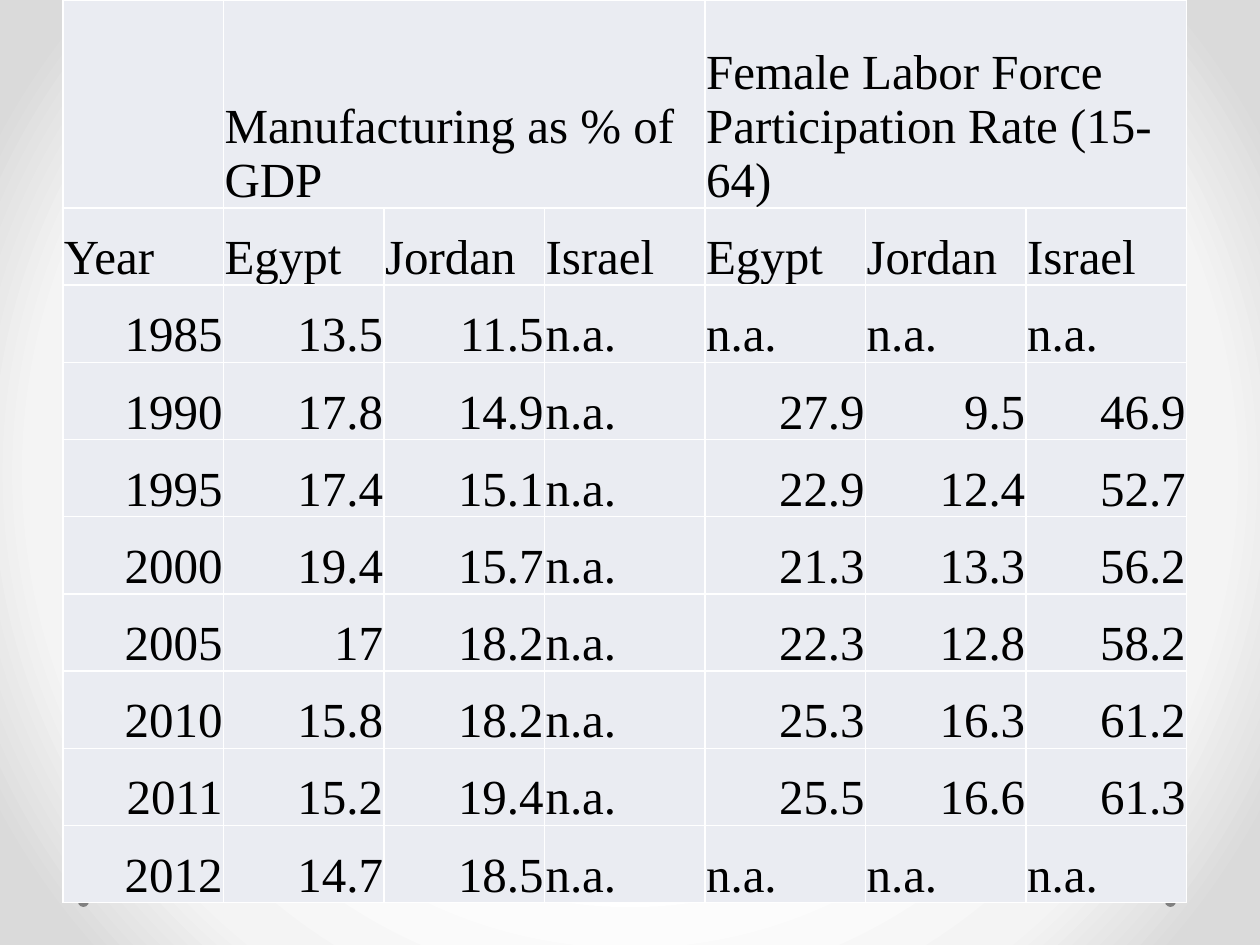
from lxml import etree
from pptx import Presentation
from pptx.dml.color import RGBColor
from pptx.enum.shapes import MSO_SHAPE
from pptx.enum.text import MSO_ANCHOR, PP_ALIGN
from pptx.oxml import parse_xml
from pptx.oxml.ns import qn
from pptx.util import Pt

PX = 914400 / 126
OVAL = MSO_SHAPE.OVAL
BOTTOM = MSO_ANCHOR.BOTTOM
LEFT, RIGHT = PP_ALIGN.LEFT, PP_ALIGN.RIGHT

BLACK = RGBColor(0x00, 0x00, 0x00)
WHITE = RGBColor(0xFF, 0xFF, 0xFF)
GRAY = RGBColor(0x80, 0x80, 0x80)
CELL_FILL = RGBColor(0xEA, 0xEC, 0xF2)
GRADIENT = (
    (50, WHITE),
    (76, RGBColor(0xF4, 0xF4, 0xF4)),
    (92, RGBColor(0xDA, 0xDA, 0xDA)),
)
FONT = "Times New Roman"
NS = "http://schemas.openxmlformats.org/drawingml/2006/main"

TABLE_LEFT, TABLE_TOP, TABLE_WIDTH, TABLE_HEIGHT = 63, 0, 1124, 903
HEADER_HEIGHT = 208
GROUPS = ("Manufacturing as % of GDP", "Female Labor Force Participation Rate (15-64)")
COUNTRIES = ("Egypt", "Jordan", "Israel")
NA = "n.a."
DATA = (
    ("1985", "13.5", "11.5", NA, NA, NA, NA),
    ("1990", "17.8", "14.9", NA, "27.9", "9.5", "46.9"),
    ("1995", "17.4", "15.1", NA, "22.9", "12.4", "52.7"),
    ("2000", "19.4", "15.7", NA, "21.3", "13.3", "56.2"),
    ("2005", "17", "18.2", NA, "22.3", "12.8", "58.2"),
    ("2010", "15.8", "18.2", NA, "25.3", "16.3", "61.2"),
    ("2011", "15.2", "19.4", NA, "25.5", "16.6", "61.3"),
    ("2012", "14.7", "18.5", NA, NA, NA, NA),
)


def px(n):
    """Convert pixels to EMU."""
    return round(n * PX)


def set_background(slide):
    """Give the slide a radial gradient background."""
    stops = "".join(
        f'<a:gs pos="{pos * 1000}"><a:srgbClr val="{color}"/></a:gs>'
        for pos, color in GRADIENT
    )
    grad = parse_xml(
        f'<a:gradFill xmlns:a="{NS}" rotWithShape="1"><a:gsLst>{stops}</a:gsLst>'
        '<a:path path="circle"><a:fillToRect l="50000" t="50000" r="50000" b="50000"/>'
        "</a:path></a:gradFill>"
    )
    fill = slide.background.fill
    fill.solid()
    solid = slide.element.find(f".//{qn('p:bgPr')}/{qn('a:solidFill')}")
    solid.getparent().replace(solid, grad)


def add_dot(slide, x, y, size):
    """Draw a small gray dot."""
    sp = slide.shapes.add_shape(OVAL, px(x), px(y), px(size), px(size))
    sp.shadow.inherit = False
    sp.fill.solid()
    sp.fill.fore_color.rgb = GRAY
    sp.line.fill.background()


def style_cell(cell):
    """Set the borders, fill, margins and anchor of a cell."""
    tc_pr = cell._tc.get_or_add_tcPr()
    for side in ("lnL", "lnR", "lnT", "lnB"):
        ln = etree.SubElement(tc_pr, qn(f"a:{side}"), w=str(Pt(1)))
        solid = etree.SubElement(ln, qn("a:solidFill"))
        etree.SubElement(solid, qn("a:srgbClr"), val=str(WHITE))
    cell.fill.solid()
    cell.fill.fore_color.rgb = CELL_FILL
    cell.margin_left = cell.margin_right = cell.margin_top = px(1)
    cell.margin_bottom = 0
    cell.vertical_anchor = BOTTOM


def write_cell(cell, text):
    """Write text in a cell, with numbers aligned right."""
    p = cell.text_frame.paragraphs[0]
    p.alignment = RIGHT if text[0].isdigit() else LEFT
    r = p.add_run()
    r.text = text
    r.font.name = FONT
    r.font.size = Pt(28)
    r.font.bold = False
    r.font.color.rgb = BLACK


def add_data_table(slide):
    """Add the table with grouped country columns."""
    rows = (("Year",) + COUNTRIES * len(GROUPS),) + DATA
    n_cols = len(rows[0])
    table = slide.shapes.add_table(
        len(rows) + 1, n_cols,
        px(TABLE_LEFT), px(TABLE_TOP), px(TABLE_WIDTH), px(TABLE_HEIGHT),
    ).table
    table.first_row = table.horz_banding = False
    for col in table.columns:
        col.width = px(TABLE_WIDTH / n_cols)
    for row in table.rows:
        row.height = px((TABLE_HEIGHT - HEADER_HEIGHT) / len(rows))
    table.rows[0].height = px(HEADER_HEIGHT)
    for cell in table.iter_cells():
        style_cell(cell)
    span = len(COUNTRIES)
    for i, title in enumerate(GROUPS):
        first = 1 + i * span
        table.cell(0, first).merge(table.cell(0, first + span - 1))
        write_cell(table.cell(0, first), title)
    for i, values in enumerate(rows, 1):
        for j, text in enumerate(values):
            write_cell(table.cell(i, j), text)


def main():
    """Build the slide and save it."""
    prs = Presentation()
    prs.slide_width, prs.slide_height = px(1260), px(945)
    slide = prs.slides.add_slide(prs.slide_layouts[6])
    set_background(slide)
    for x in (1165, 78):
        add_dot(slide, x, 896, 11)
    add_data_table(slide)
    prs.save("out.pptx")


main()
